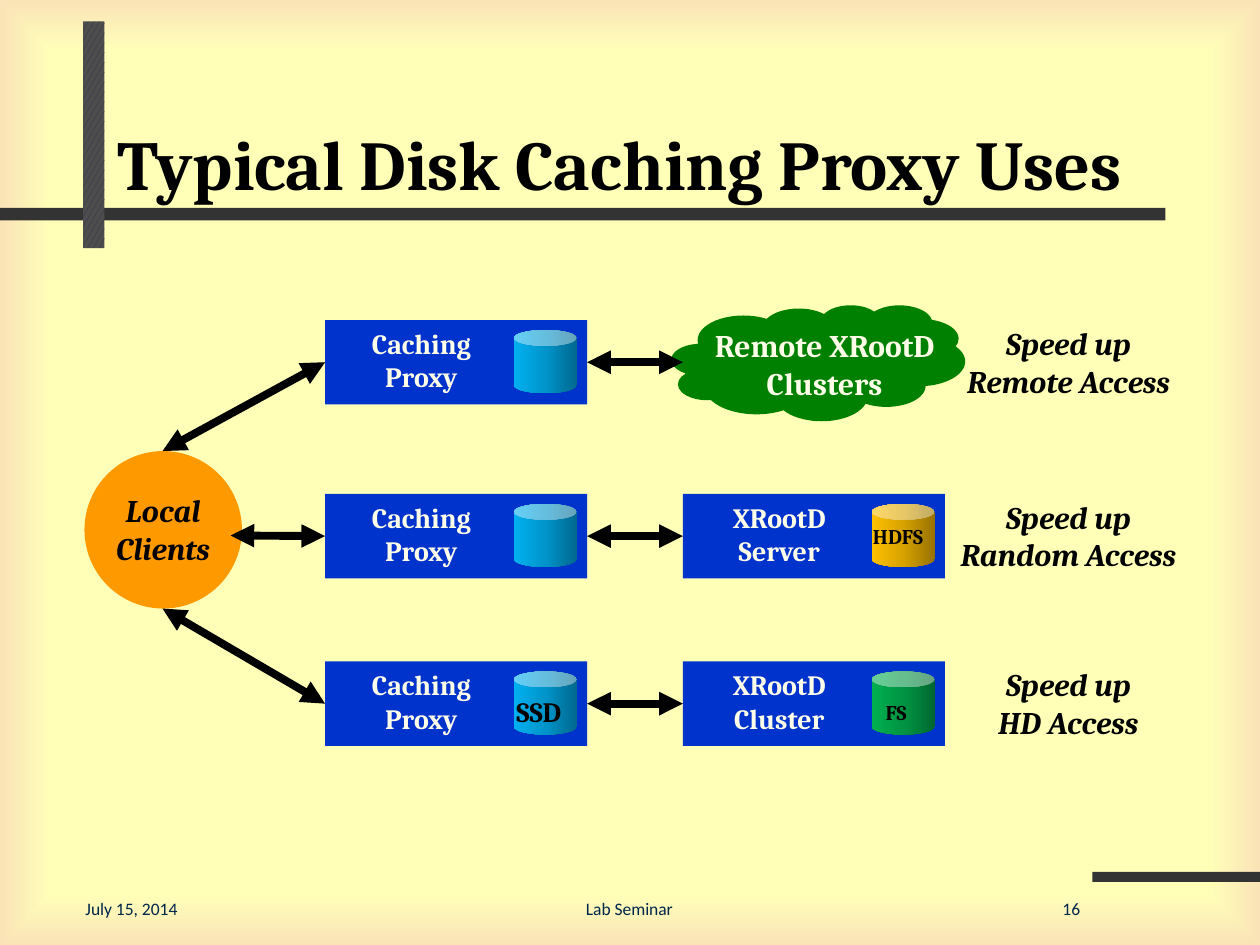
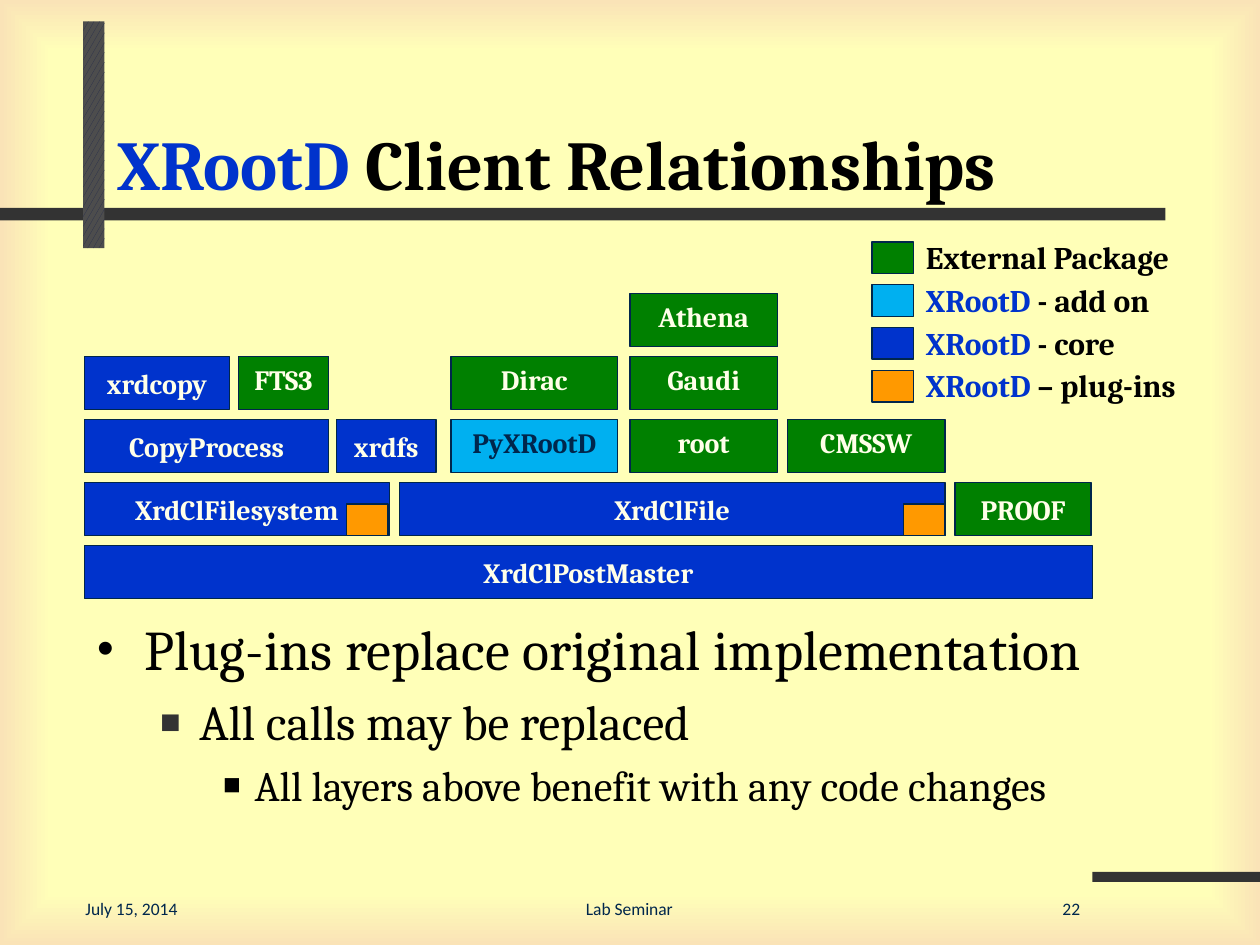
import copy

import lxml.etree
import pptx
import pptx.dml.color
import pptx.enum.dml
import pptx.enum.shapes
import pptx.enum.text
import pptx.oxml.ns
import pptx.util

inch = pptx.util.Inches
qn = pptx.oxml.ns.qn
rgb = pptx.dml.color.RGBColor.from_string
kinds = pptx.enum.shapes.MSO_SHAPE
fit = pptx.enum.text.MSO_AUTO_SIZE
left, mid, right = (pptx.enum.text.PP_ALIGN.LEFT, pptx.enum.text.PP_ALIGN.CENTER,
                    pptx.enum.text.PP_ALIGN.RIGHT)
hues = {
    "black": "000000", "cream": "FFFFE9", "navy": "00264C", "band": "333333",
    "blue": "0033CC", "green": "008000", "sky": "00B0F0", "orange": "FF9900",
    "fore": "262D4C", "back": "4D4D4D",
}
tones = {
    "page": ("FFFFB8", "FFFFB8", "FAE3B7"),
    "sky": ("00688E", "0094CA", "00B0F0"),
    "gold": ("977200", "D7A200", "FFC000"),
    "leaf": ("00682F", "009443", "00B050"),
}


def draw(slide, kind, box, hue, edge=None):
    shape = slide.shapes.add_shape(kind, *map(inch, box))
    shape.shadow.inherit = False
    shape.fill.solid()
    shape.fill.fore_color.rgb = rgb(hues[hue])
    if edge:
        shape.line.color.rgb = rgb(hues[edge])
        shape.line.width = pptx.util.Pt(0.75)
    else:
        shape.line.fill.background()
    return shape


def write(place, text, size, hue, align=left, lead="", wrap=True, **look):
    """Fill a shape, or a new text box on (slide, box); lead is a blue first word."""
    if isinstance(place, tuple):
        slide, box = place
        place = slide.shapes.add_textbox(*map(inch, box))
        place.text_frame.auto_size = fit.SHAPE_TO_FIT_TEXT
    frame = place.text_frame
    frame.word_wrap = wrap
    frame.text = text
    form = {"name": "Cambria", "bold": True, "size": pptx.util.Pt(size)} | look
    for para in frame.paragraphs:
        para.alignment = align
        if lead:
            rest = para.text
            para.text = lead
            para.add_run().text = rest
        for run in para.runs:
            for key, value in form.items():
                setattr(run.font, key, value)
            run.font.color.rgb = rgb(hues[hue])
        if lead:
            para.runs[0].font.color.rgb = rgb(hues["blue"])


deck = pptx.Presentation()
deck.slide_width, deck.slide_height = inch(10), inch(7.5)
master = deck.slide_master
fades = [(master, master.background.fill, "page", (0.73, 0.89, 1))]

# Shared title, bands and footers
pages = []
for layout, title, lead, width, number in (
    (5, "Typical Disk Caching Proxy Uses", "", 8.92, "16"),
    (1, "Client Relationships", "XRootD ", 8.36, "22"),
):
    slide = deck.slides.add_slide(deck.slide_layouts[layout])
    pages.append(slide)
    for box in ((0, 1.65, 9.25, 0.1), (8.67, 6.92, 1.33, 0.08)):
        draw(slide, kinds.RECTANGLE, box, "band")
    post = draw(slide, kinds.RECTANGLE, (0.66, 0.17, 0.17, 1.8), "back")
    post.fill.patterned()
    post.fill.pattern = pptx.enum.dml.MSO_PATTERN.LARGE_CONFETTI
    post.fill.fore_color.rgb = rgb(hues["fore"])
    post.fill.back_color.rgb = rgb(hues["back"])
    for text, x, wide, align in (
        ("July 15, 2014", 0.58, 1.92, left),
        (number, 7.75, 0.92, right),
        ("Lab Seminar", 3.83, 2.33, mid),
    ):
        write((slide, (x, 7.08, wide, 0.27)), text, 10, "navy", align,
              name="Calibri", bold=False)
    head = slide.shapes.title
    head.left, head.top, head.width, head.height = map(inch, (0.83, 0.42, width, 1.25))
    head.text_frame.auto_size = fit.NONE
    head.text_frame.vertical_anchor = pptx.enum.text.MSO_ANCHOR.BOTTOM
    write(head, title, 40, "black", lead=lead)
uses, stack = pages

# Caching proxy uses
draw(uses, kinds.OVAL, (0.67, 3.58, 1.25, 1.25), "orange")
write((uses, (0.78, 3.85, 1.03, 0.71)), "Local\nClients", 18, "black", mid,
      wrap=False, italic=True)
for top, start, aim, aim_x, aim_w, server, tone in (
    (2.54, (1.29, 3.58), "Remote", 7.52, 1.92, "", ""),
    (3.92, (1.83, 4.25), "Random", 7.5, 1.96, "Server", "gold"),
    (5.25, (1.29, 4.83), "HD", 7.78, 1.4, "Cluster", "leaf"),
):
    boxes = []
    for x, text, paint in ((2.58, "Caching\nProxy", "sky"),
                           (5.42, "XRootD\n" + server, tone)):
        if not paint:
            draw(uses, kinds.CLOUD, (5.33, 2.42, 2.33, 0.92), "green")
            write((uses, (5.51, 2.54, 2.07, 0.71)), "Remote XRootD\nClusters", 18,
                  "cream", mid, wrap=False)
            continue
        boxes.append(draw(uses, kinds.RECTANGLE, (x, top, 2.08, 0.67), "blue"))
        can = draw(uses, kinds.CAN, (x + 1.5, top + 0.08, 0.5, 0.5), "sky")
        fades.append((can, can.fill, paint, (0, 0.5, 1)))
        write((uses, (x + 0.25, top, 1.03, 0.64)), text, 16, "cream", mid, wrap=False)
    write((uses, (aim_x, top - 0.02, aim_w, 0.71)), f"Speed up\n{aim} Access", 18,
          "black", mid, wrap=False, italic=True)

    y = top + 0.335
    for begin, end in ((start, (2.58, y)), ((4.66, y), (5.42, y))):
        wire = uses.shapes.add_connector(
            pptx.enum.shapes.MSO_CONNECTOR.STRAIGHT, *map(inch, begin + end))
        if begin == start:
            wire.end_connect(boxes[0], 1)
        else:
            wire.begin_connect(boxes[0], 3)
            if server:
                wire.end_connect(boxes[1], 1)
        wire.line.color.rgb = rgb(hues["black"])
        wire.line.width = pptx.util.Pt(4.5)
        props = wire.element.spPr
        for tip in ("a:headEnd", "a:tailEnd"):
            lxml.etree.SubElement(props.find(qn("a:ln")), qn(tip), type="triangle")
        lxml.etree.SubElement(props, qn("a:effectLst"))

for text, size, box in (
    ("SSD", 16, (4, 5.46, 0.66, 0.37)),
    ("HDFS", 12, (6.83, 4.11, 0.68, 0.3)),
    ("FS", 12, (6.93, 5.5, 0.4, 0.3)),
):
    write((uses, box), text, size, "black", wrap=False)

# Client layers, counted upward from the base
for text, x, level, width, hue in (
    ("xrdcopy", 0.67, 3, 1.15, "blue"),
    ("FTS3", 1.89, 3, 0.72, "green"),
    ("CopyProcess", 0.67, 2, 1.94, "blue"),
    ("xrdfs", 2.67, 2, 0.79, "blue"),
    ("XrdClFilesystem", 0.67, 1, 2.42, "blue"),
    ("PyXRootD", 3.58, 2, 1.32, "sky"),
    ("Dirac", 3.58, 3, 1.32, "green"),
    ("root", 5, 2, 1.17, "green"),
    ("Gaudi", 5, 3, 1.17, "green"),
    ("Athena", 5, 4, 1.17, "green"),
    ("CMSSW", 6.25, 2, 1.25, "green"),
    ("PROOF", 7.58, 1, 1.08, "green"),
    ("XrdClFile", 3.17, 1, 4.33, "blue"),
    ("XrdClPostMaster", 0.67, 0, 8, "blue"),
):
    top = 4.33 - 0.5 * level
    draw(stack, kinds.RECTANGLE, (x, top, width, 0.42), hue, "navy")
    drop = 0.03 if hue == "blue" or level == 1 else 0
    write((stack, (x, top + drop, width, 0.37)), text, 16,
          "navy" if hue == "sky" else "cream", mid)
for x in (2.75, 7.17):
    draw(stack, kinds.RECTANGLE, (x, 4, 0.33, 0.25), "orange", "navy")

for i, (hue, lead, text, width) in enumerate((
    ("green", "", "External Package", 2.16),
    ("sky", "XRootD ", "- add on", 2.13),
    ("blue", "XRootD ", "- core", 1.81),
    ("orange", "XRootD ", "– plug-ins", 2.35),
)):
    top = 1.92 + 0.34 * i
    draw(stack, kinds.RECTANGLE, (6.92, top, 0.33, 0.25), hue, "navy")
    write((stack, (7.25, top - 0.08, width, 0.4)), text, 18, "black", lead=lead, wrap=False)

body = stack.placeholders[1]
body.left, body.top, body.width, body.height = map(inch, (0.67, 4.83, 8.75, 1.58))
body.text_frame.auto_size = fit.NONE
write(body, "Plug-ins replace original implementation\nAll calls may be replaced\n"
      "All layers above benefit with any code changes", 32, "black", bold=False)
marks = (("•", "black", "85000"), ("■", "band", "70000"), ("■", "black", "70000"))
for level, (para, (mark, hue, size)) in enumerate(zip(body.text_frame.paragraphs, marks)):
    para.level = level
    para.runs[0].font.size = pptx.util.Pt(32 - 4 * level)
    props = para._p.get_or_add_pPr()
    tint = lxml.etree.SubElement(props, qn("a:buClr"))
    lxml.etree.SubElement(tint, qn("a:srgbClr"), val=hues[hue])
    lxml.etree.SubElement(props, qn("a:buSzPct"), val=size)
    lxml.etree.SubElement(props, qn("a:buFont"), typeface="Arial")
    lxml.etree.SubElement(props, qn("a:buChar"), char=mark)

# Three-stop gradients of the page and the disks
for owner, fill, tone, spots in fades:
    fill.gradient()
    stops = owner.element.find(".//" + qn("a:gsLst"))
    stops.insert(1, copy.deepcopy(stops[0]))
    for stop, color, spot in zip(fill.gradient_stops, tones[tone], spots):
        stop.color.rgb = rgb(color)
        stop.position = spot
    if owner is not master:
        fill.gradient_angle = 180
        continue
    grad = stops.getparent()
    grad.remove(grad.find(qn("a:lin")))
    track = lxml.etree.SubElement(grad, qn("a:path"), path="shape")
    lxml.etree.SubElement(track, qn("a:fillToRect"), dict.fromkeys("ltrb", "50000"))

deck.save("out.pptx")
